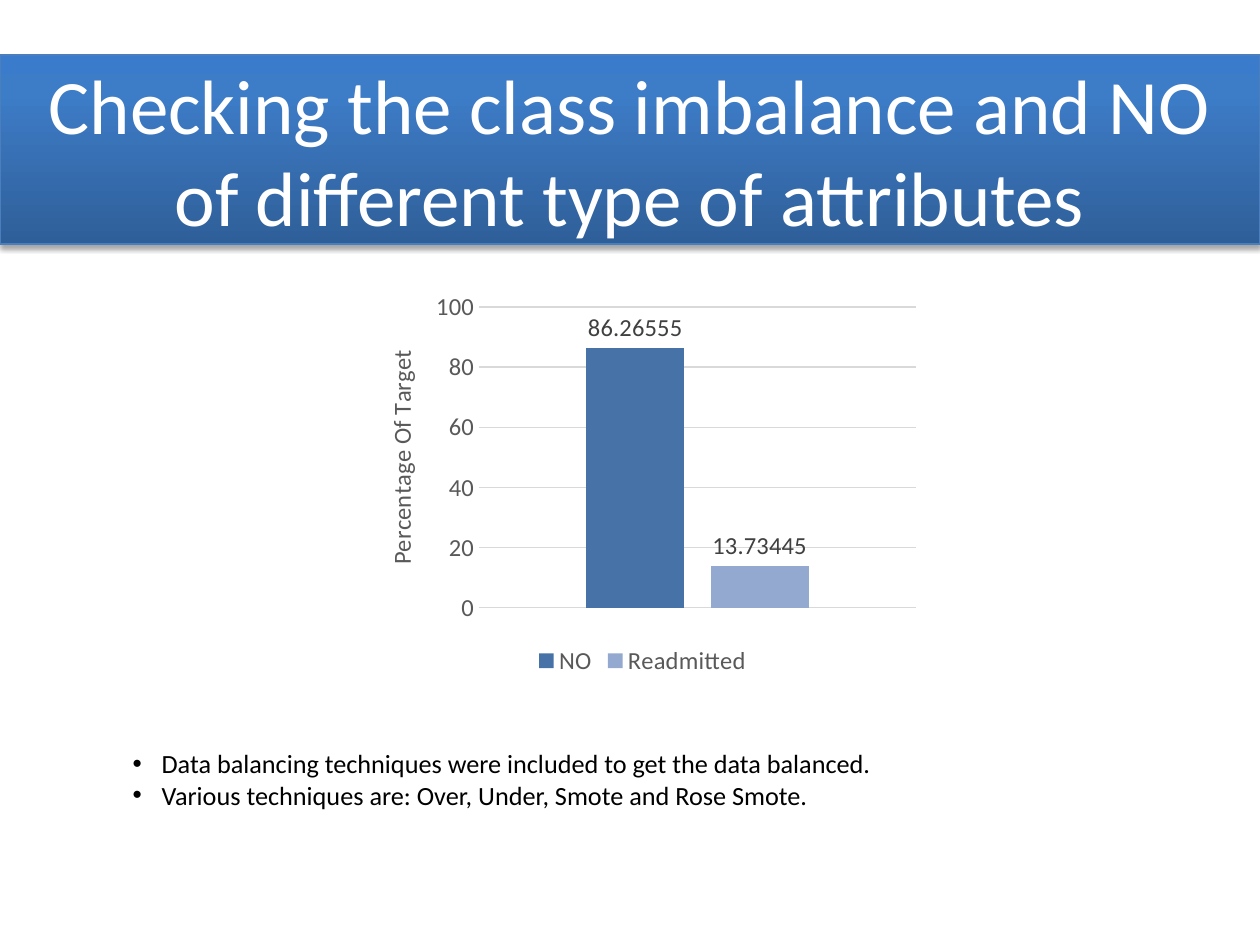
from copy import deepcopy

from lxml.etree import SubElement
from pptx import Presentation
from pptx.chart.data import CategoryChartData
from pptx.dml.color import RGBColor
from pptx.enum.chart import (XL_CHART_TYPE as CT, XL_LABEL_POSITION as LP,
                             XL_LEGEND_POSITION as LG, XL_TICK_MARK as TM)
from pptx.enum.text import MSO_ANCHOR, MSO_AUTO_SIZE, PP_ALIGN
from pptx.oxml import parse_xml
from pptx.oxml.ns import nsdecls, qn
from pptx.util import Emu, Pt

COLORS = {
    "white": "FFFFFF", "black": "000000", "navy": "2F5F99", "blue": "3D7CC7",
    "sky": "3A7CCB", "edge": "4B7EBC", "grid": "D9D9D9", "axis": "595959",
    "label": "404040", "no": "4672A8", "readmitted": "93A9CF",
}


def px(n):
    return Emu(round(n * 914400 / 126))


def rgb(name):
    return RGBColor.from_string(COLORS[name])


class Deck:
    """Holds the style and the current slide, and adds each kind of element."""

    font = "Calibri"

    def __init__(self, width, height):
        self.prs = Presentation()
        self.prs.slide_width, self.prs.slide_height = px(width), px(height)
        self.s = self.prs.slides.add_slide(self.prs.slide_layouts[1])

    def style(self, font, size, color):
        font.name, font.size = self.font, Pt(size)
        font.color.rgb = rgb(color)

    def place(self, sp, box):
        sp.left, sp.top, sp.width, sp.height = map(px, box)

    def title(self, text, box, stops):
        sp = self.s.shapes.title
        self.place(sp, box)
        sp.fill.gradient()
        sp.fill.gradient_angle = 90
        gs_lst = sp._element.spPr.find(".//" + qn("a:gsLst"))
        gs_lst.append(deepcopy(gs_lst[0]))
        for stop, (position, color) in zip(sp.fill.gradient_stops, stops):
            stop.position = position
            stop.color.rgb = rgb(color)
        sp.line.color.rgb = rgb("edge")
        sp.line.width = Pt(0.75)
        sp._element.spPr.append(parse_xml(
            f'<a:effectLst {nsdecls("a")}><a:outerShdw blurRad="{Pt(3.1)}" '
            f'dist="{Pt(1.8)}" dir="5400000" rotWithShape="0">'
            f'<a:srgbClr val="{COLORS["black"]}"><a:alpha val="35000"/>'
            '</a:srgbClr></a:outerShdw></a:effectLst>'))
        tf = sp.text_frame
        tf.text = text
        tf.auto_size = MSO_AUTO_SIZE.NONE
        tf.vertical_anchor = MSO_ANCHOR.MIDDLE
        p = tf.paragraphs[0]
        p.alignment = PP_ALIGN.CENTER
        self.style(p.runs[0].font, 44, "white")

    def bullets(self, lines, box):
        sp = self.s.placeholders[1]
        self.place(sp, box)
        tf = sp.text_frame
        tf.text = "\n".join(lines)
        tf.auto_size = MSO_AUTO_SIZE.SHAPE_TO_FIT_TEXT
        for p in tf.paragraphs:
            p.alignment = PP_ALIGN.JUSTIFY
            p.space_before = Pt(0)
            pPr = p._p.get_or_add_pPr()
            pPr.set("marL", str(px(29)))
            pPr.set("indent", str(-px(29)))
            SubElement(pPr, qn("a:buFont"), typeface="Arial")
            SubElement(pPr, qn("a:buChar"), char="•")
            self.style(p.runs[0].font, 15, "black")

    def column_chart(self, axis_title, series, box, plot_area):
        data = CategoryChartData()
        data.categories = ["1"]
        for name, value, _ in series:
            data.add_series(name, [value])
        chart = self.s.shapes.add_chart(
            CT.COLUMN_CLUSTERED, *map(px, box), data).chart
        self.style(chart.font, 14, "black")
        chart.has_title = False
        chart.has_legend = True
        chart.legend.position = LG.BOTTOM
        chart.legend.include_in_layout = False
        self.style(chart.legend.font, 14, "axis")

        chart.category_axis.visible = False
        axis = chart.value_axis
        axis.minimum_scale, axis.maximum_scale = 0, 100
        axis.major_tick_mark = axis.minor_tick_mark = TM.NONE
        axis.format.line.fill.background()
        axis.major_gridlines.format.line.color.rgb = rgb("grid")
        axis.major_gridlines.format.line.width = Pt(0.75)
        self.style(axis.tick_labels.font, 14, "axis")
        tf = axis.axis_title.text_frame
        tf.text = axis_title
        font = tf.paragraphs[0].runs[0].font
        self.style(font, 14, "axis")
        font.bold = False

        plot = chart.plots[0]
        plot.gap_width, plot.overlap = 219, -27
        plot.vary_by_categories = False
        for ser, (_, _, color) in zip(plot.series, series):
            ser.format.fill.solid()
            ser.format.fill.fore_color.rgb = rgb(color)
            labels = ser.data_labels
            labels.show_value = True
            labels.position = LP.OUTSIDE_END
            self.style(labels.font, 14, "label")
        self.layout(chart, box, plot_area)

    def layout(self, chart, box, area):
        left, top, width, height = box
        x, y, w, h = area
        fractions = {"x": (x - left) / width, "y": (y - top) / height,
                     "w": w / width, "h": h / height}
        values = "".join(f'<c:{k} val="{v:.4f}"/>' for k, v in fractions.items())
        plot_area = chart._chartSpace.chart.plotArea
        for old in plot_area.findall(qn("c:layout")):
            plot_area.remove(old)
        plot_area.insert(0, parse_xml(
            f'<c:layout {nsdecls("c")}><c:manualLayout>'
            '<c:layoutTarget val="inner"/><c:xMode val="edge"/>'
            f'<c:yMode val="edge"/>{values}</c:manualLayout></c:layout>'))


def main():
    deck = Deck(1260, 945)
    deck.title("Checking the class imbalance and NO of different type of attributes",
               (0, 55, 1260, 189),
               [(0, "navy"), (0.8, "blue"), (1, "sky")])
    deck.bullets(["Data balancing techniques were included to get the data balanced.",
                  "Various techniques are: Over, Under, Smote and Rose Smote."],
                 (120, 741, 1123, 77))
    deck.column_chart("Percentage Of Target",
                      [("NO", 86.26555, "no"),
                       ("Readmitted", 13.73445, "readmitted")],
                      (357, 284, 571, 397), (479, 307, 437, 301))
    deck.prs.save("out.pptx")


if __name__ == "__main__":
    main()
